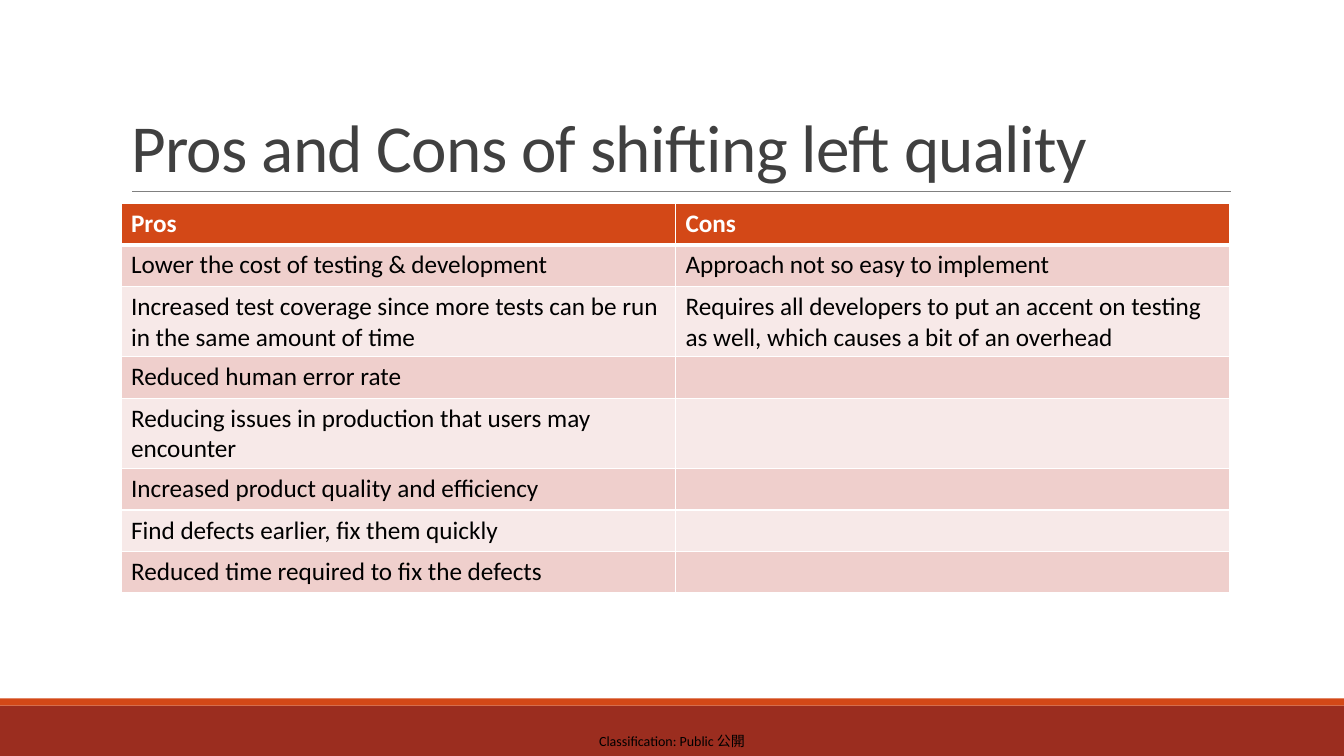
from lxml.etree import SubElement
from pptx import Presentation
from pptx.dml.color import RGBColor
from pptx.enum.shapes import MSO_CONNECTOR, MSO_SHAPE
from pptx.enum.text import MSO_ANCHOR, PP_ALIGN
from pptx.oxml import parse_xml
from pptx.oxml.ns import nsdecls, qn
from pptx.util import Inches, Pt


def color(value):
    return RGBColor.from_string(value)


def write(frame, text, size=18, ink="000000", bold=False, align=PP_ALIGN.LEFT,
          anchor=MSO_ANCHOR.TOP, line_spacing=None, tracking=None):
    frame.word_wrap = True
    frame.vertical_anchor = anchor
    para = frame.paragraphs[0]
    para.alignment = align
    para.line_spacing = line_spacing
    span = para.add_run()
    span.text = text
    span.font.name, span.font.size, span.font.bold = "Calibri", Pt(size), bold
    span.font.color.rgb = color(ink)
    if tracking is not None:
        span.font._element.set("spc", str(int(tracking * 100)))


deck = Presentation()
deck.slide_width, deck.slide_height = Inches(13.33), Inches(7.5)
page = deck.slides.add_slide(deck.slide_layouts[5])
left, column, row = Inches(1.2), Inches(5.5), Inches(0.41)

# Footer bands
for top, height, fill in [(7, 0.5, "9B2D1F"), (6.93, 0.07, "D34817")]:
    band = page.shapes.add_shape(MSO_SHAPE.RECTANGLE, 0, Inches(top),
                                 deck.slide_width, Inches(height))
    band.shadow.inherit = False
    band.fill.solid()
    band.fill.fore_color.rgb = color(fill)
    band.line.fill.background()

# Rule under the title
rule = page.shapes.add_connector(MSO_CONNECTOR.STRAIGHT, Inches(1.31), Inches(1.9),
                                 Inches(12.21), Inches(1.9))
rule.line.color.rgb = color("808080")
rule.line.width = Pt(0.5)
SubElement(rule._element.spPr, qn("a:effectLst"))

# Classification label
label = page.shapes.add_textbox(Inches(5.76), Inches(7.21), Inches(1.81), Inches(0.29))
frame = label.text_frame
frame.margin_left = frame.margin_right = frame.margin_top = frame.margin_bottom = 0
write(frame, "Classification: Public 公開", size=10, align=PP_ALIGN.CENTER,
      anchor=MSO_ANCHOR.MIDDLE)

# Title
title = page.shapes.title
title.left, title.top = left, Inches(0.31)
title.width, title.height = 2 * column, Inches(1.59)
write(title.text_frame, "Pros and Cons of shifting left quality", size=48, ink="404040",
      anchor=MSO_ANCHOR.BOTTOM, line_spacing=0.85, tracking=-0.5)

# Pros and cons table
entries = [
    ("Pros", "Cons"),
    ("Lower the cost of testing & development", "Approach not so easy to implement"),
    ("Increased test coverage since more tests can be run in the same amount of time",
     "Requires all developers to put an accent on testing as well, "
     "which causes a bit of an overhead"),
    ("Reduced human error rate", ""),
    ("Reducing issues in production that users may encounter", ""),
    ("Increased product quality and efficiency", ""),
    ("Find defects earlier, fix them quickly", ""),
    ("Reduced time required to fix the defects", ""),
]
table = page.shapes.add_table(len(entries), 2, left, Inches(2.02),
                              2 * column, len(entries) * row).table
for index, texts in enumerate(entries):
    header = index == 0
    fill = "D34817" if header else ("F7E9E8", "EFCFCC")[index % 2]
    for cell, text in zip(table.rows[index].cells, texts):
        if text:
            write(cell.text_frame, text, ink="FFFFFF" if header else "000000", bold=header)
        properties = cell._tc.get_or_add_tcPr()
        for side in "LRTB":
            thick = (header and side == "B") or (index == 1 and side == "T")
            properties.append(parse_xml(
                f'<a:ln{side} {nsdecls("a")} w="{Pt(3 if thick else 1)}"><a:solidFill>'
                f'<a:srgbClr val="FFFFFF"/></a:solidFill></a:ln{side}>'))
        cell.fill.solid()
        cell.fill.fore_color.rgb = color(fill)

deck.save("out.pptx")
